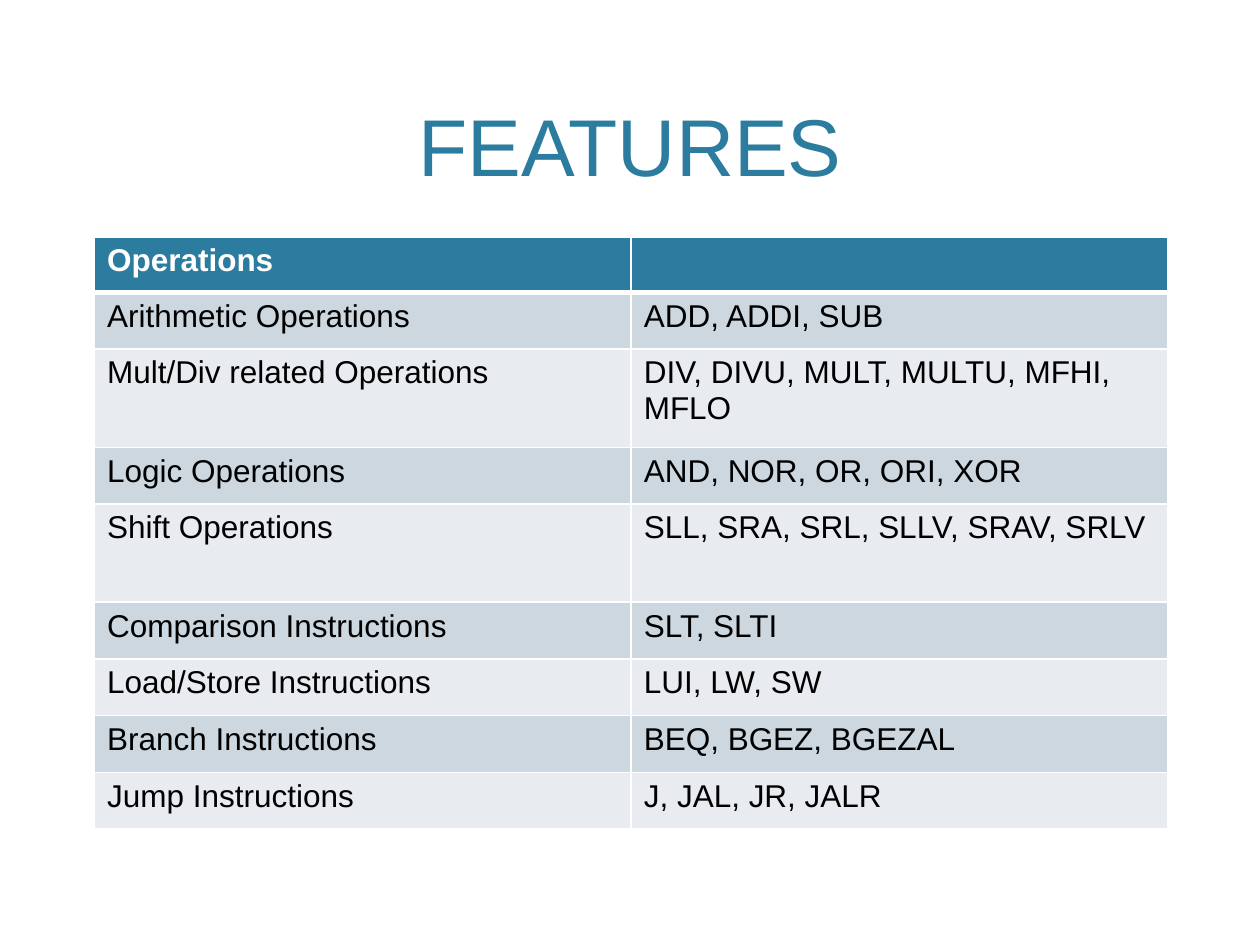
from lxml import etree
from pptx import Presentation
from pptx.dml.color import RGBColor
from pptx.enum.text import MSO_ANCHOR, PP_ALIGN
from pptx.oxml.ns import qn
from pptx.util import Inches, Pt

BOTTOM = MSO_ANCHOR.BOTTOM
CENTER = PP_ALIGN.CENTER
TEAL, WHITE, BLACK = "2C7C9F", "FFFFFF", "000000"
BANDS = ("E8ECF0", "CDD7DF")
SHORT, TALL = 0.45, 0.78

ROWS = [
    (0.44, "Operations", ""),
    (SHORT, "Arithmetic Operations", "ADD, ADDI, SUB"),
    (TALL, "Mult/Div related Operations", "DIV, DIVU, MULT, MULTU, MFHI, MFLO"),
    (SHORT, "Logic Operations", "AND, NOR, OR, ORI,\u00a0XOR"),
    (TALL, "Shift Operations", "SLL, SRA, SRL, SLLV, SRAV, SRLV"),
    (SHORT, "Comparison Instructions", "SLT, SLTI"),
    (SHORT, "Load/Store Instructions", "LUI, LW, SW"),
    (SHORT, "Branch Instructions", "BEQ, BGEZ, BGEZAL"),
    (SHORT, "Jump Instructions", "J, JAL, JR, JALR"),
]


def color(text):
    """Turn a hex string into a colour."""
    return RGBColor.from_string(text)


class Deck:
    """Holds the style and the current slide."""

    font = "Arial"

    def __init__(self, slide):
        """Keep the slide to draw on."""
        self.slide = slide

    def run(self, para, text, size, ink, bold=False):
        """Add one styled run."""
        run = para.add_run()
        run.text = text
        run.font.name = self.font
        run.font.size = Pt(size)
        run.font.bold = bold
        run.font.color.rgb = color(ink)

    def title(self, text, left, top, width, height):
        """Add the centred heading."""
        box = self.slide.shapes.add_textbox(
            Inches(left), Inches(top), Inches(width), Inches(height))
        frame = box.text_frame
        frame.word_wrap = True
        frame.vertical_anchor = BOTTOM
        para = frame.paragraphs[0]
        para.alignment = CENTER
        self.run(para, text, 46, TEAL)

    def edge(self, cell, side, width):
        """Draw one white cell border."""
        props = cell._tc.get_or_add_tcPr()
        line = etree.SubElement(props, qn("a:ln" + side), w=str(Pt(width)))
        fill = etree.SubElement(line, qn("a:solidFill"))
        etree.SubElement(fill, qn("a:srgbClr"), val=WHITE)

    def cell(self, cell, text, row):
        """Style and fill one cell, by its row number."""
        head = row == 0
        widths = {"L": 1, "R": 1, "T": 3 if row == 1 else 1, "B": 3 if head else 1}
        for side, width in widths.items():
            self.edge(cell, side, width)
        cell.fill.solid()
        cell.fill.fore_color.rgb = color(TEAL if head else BANDS[row % 2])
        if text:
            para = cell.text_frame.paragraphs[0]
            self.run(para, text, 18, WHITE if head else BLACK, head)

    def table(self, rows, left, top, width):
        """Add the banded table; each row is a height and its texts."""
        count = len(rows[0]) - 1
        height = sum(row[0] for row in rows)
        grid = self.slide.shapes.add_table(
            len(rows), count, Inches(left), Inches(top),
            Inches(width), Inches(height)).table
        for col in grid.columns:
            col.width = Inches(width / count)
        for r, (tall, *texts) in enumerate(rows):
            grid.rows[r].height = Inches(tall)
            for c, text in enumerate(texts):
                self.cell(grid.cell(r, c), text, r)


prs = Presentation()
prs.slide_width, prs.slide_height = Inches(10), Inches(7.5)
deck = Deck(prs.slides.add_slide(prs.slide_layouts[6]))
deck.title("FEATURES", 0.6, 0.12, 8.8, 1.46)
deck.table(ROWS, 0.75, 1.88, 8.52)
prs.save("out.pptx")
